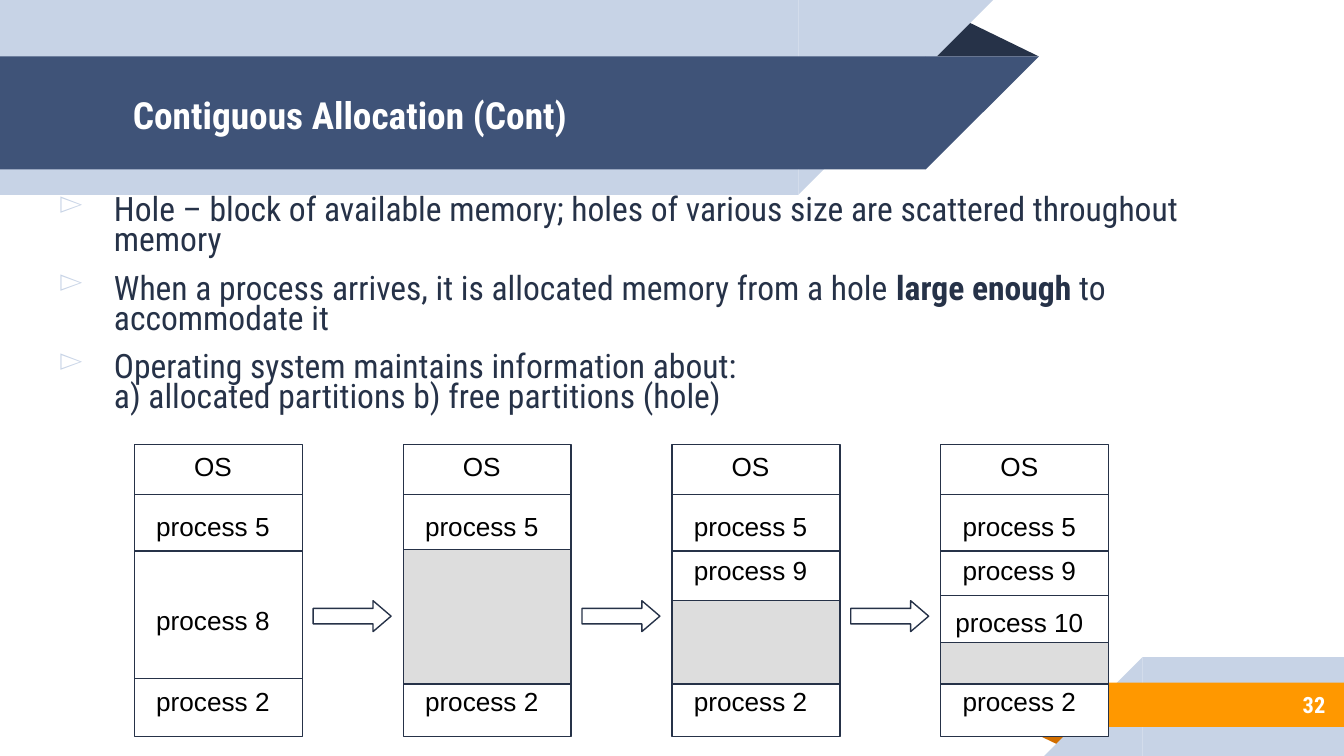
from lxml import etree
from pptx import Presentation
from pptx.dml.color import RGBColor
from pptx.enum.shapes import MSO_CONNECTOR, MSO_SHAPE
from pptx.enum.text import MSO_ANCHOR, PP_ALIGN
from pptx.oxml.ns import qn
from pptx.util import Inches, Pt

RECTANGLE = MSO_SHAPE.RECTANGLE
TRIANGLE = MSO_SHAPE.ISOSCELES_TRIANGLE
RIGHT_TRIANGLE = MSO_SHAPE.RIGHT_TRIANGLE
ARROW = MSO_SHAPE.RIGHT_ARROW
STRAIGHT = MSO_CONNECTOR.STRAIGHT
TOP, MIDDLE = MSO_ANCHOR.TOP, MSO_ANCHOR.MIDDLE
LEFT, CENTER, RIGHT = PP_ALIGN.LEFT, PP_ALIGN.CENTER, PP_ALIGN.RIGHT

# The slide is a grid of 100 columns by 56.25 rows with square cells
COLUMNS, ROWS = 100, 56.25
CELL = 10 / COLUMNS

NAVY, BLUE, PALE = "263248", "3F5378", "C7D3E6"
ORANGE, BROWN = "FF9800", "D26F00"
WHITE, BLACK, GREY = "FFFFFF", "000000", "DDDDDD"
HEADING_FONT, DIAGRAM_FONT = "Roboto Condensed", "Arial"

# Memory maps: first column, pitch, width, top, height, shared dividers
MAP_LEFT, MAP_PITCH, MAP_WIDTH = 10, 20, 12.5
MAP_TOP, MAP_HEIGHT = 33.1, 21.7
DIVIDERS = (36.8, 41, 50.5)
LABEL_WIDTH, LABEL_HEIGHT = 11.7, 3.1
COMMON_LABELS = {"OS": 33.1, "process 5": 37.6, "process 2": 50.6}
HOLE_BOTTOM = 50.9
# Each state: its own labels by row, top of its hole, extra dividers
STATES = (
    ({"process 8": 44.6}, None, ()),
    ({}, 40.9, ()),
    ({"process 9": 40.9}, 44.7, ()),
    ({"process 9": 40.9, "process 10": 44.7}, 47.8, (44.3,)),
)

# Runs are (text, bold)
BULLETS = (
    [("Hole – block of available memory; holes of various size are "
      "scattered throughout memory", False)],
    [("When a process arrives, it is allocated memory from a hole ", False),
     ("large enough ", True), ("to accommodate it", False)],
    [("Operating system maintains information about:\n"
      "a) allocated partitions b) free partitions (hole)", False)],
)


def grid(*cells):
    return [Inches(cell * CELL) for cell in cells]


def color(hex_text):
    return RGBColor.from_string(hex_text)


def add_shape(slide, kind, box, fill, outline=None, adjustments=(),
              rotation=0, flip=None):
    shape = slide.shapes.add_shape(kind, *grid(*box))
    shape.shadow.inherit = False
    shape.fill.solid()
    shape.fill.fore_color.rgb = color(fill)
    if outline:
        shape.line.color.rgb = color(outline)
        shape.line.width = Pt(0.75)
    else:
        shape.line.fill.background()
    for index, value in enumerate(adjustments):
        shape.adjustments[index] = value
    shape.rotation = rotation
    if flip:
        shape._element.spPr.find(qn("a:xfrm")).set(flip, "1")
    return shape


def add_divider(slide, left, row):
    line = slide.shapes.add_connector(
        STRAIGHT, *grid(left, row, left + MAP_WIDTH, row))
    line.line.color.rgb = color(NAVY)
    line.line.width = Pt(0.75)
    etree.SubElement(line._element.spPr, qn("a:effectLst"))


def add_run(paragraph, text, size, font, fill, bold):
    for index, part in enumerate(text.split("\n")):
        if index:
            paragraph.add_line_break()
        run = paragraph.add_run()
        run.text = part
        run.font.size = Pt(size)
        run.font.name = font
        run.font.bold = bold
        run.font.color.rgb = color(fill)


def add_text(slide, box, paragraphs, size=14, font=HEADING_FONT, fill=WHITE,
             align=LEFT, anchor=MIDDLE, margin=(1, 0.5), wrap=True):
    """Add a text box; paragraphs are lists of (text, bold) runs."""
    frame = slide.shapes.add_textbox(*grid(*box)).text_frame
    frame.word_wrap = wrap
    frame.vertical_anchor = anchor
    frame.margin_left, frame.margin_top = grid(*margin)
    frame.margin_right, frame.margin_bottom = grid(*margin)
    for index, runs in enumerate(paragraphs):
        paragraph = frame.add_paragraph() if index else frame.paragraphs[0]
        paragraph.alignment = align
        for text, bold in runs:
            add_run(paragraph, text, size, font, fill, bold)
    return frame


def add_bullet(paragraph, symbol, fill, indent):
    properties = paragraph._p.get_or_add_pPr()
    hanging = grid(indent)[0]
    properties.set("marL", str(hanging))
    properties.set("indent", str(-hanging))
    bullet_color = etree.SubElement(properties, qn("a:buClr"))
    etree.SubElement(bullet_color, qn("a:srgbClr"), val=fill)
    etree.SubElement(properties, qn("a:buChar"), char=symbol)


def add_header_band(slide, top, width, height, fill):
    """Add a band whose right end slopes by its own height."""
    add_shape(slide, RECTANGLE, (0, top, width, height), fill)
    add_shape(slide, RIGHT_TRIANGLE, (width, top, height, height), fill,
              flip="flipV")


def add_decoration(slide):
    # Footer ribbon
    add_shape(slide, TRIANGLE, (76, 54.1, 4.3, 1.4), BROWN,
              adjustments=(0.324,), rotation=180)
    add_shape(slide, RECTANGLE, (85, 48.9, 15, 7.35), PALE)
    add_shape(slide, RIGHT_TRIANGLE, (77.7, 48.9, 7.3, 7.35), PALE,
              flip="flipH")
    add_shape(slide, RECTANGLE, (79.3, 50.8, 20.7, 3.3), ORANGE)
    # Header ribbon
    add_shape(slide, TRIANGLE, (68.8, 1.4, 8.5, 2.8), NAVY,
              adjustments=(0.324,))
    add_header_band(slide, 0, 59.4, 14.5, PALE)
    add_header_band(slide, 4.2, 68.9, 8.4, BLUE)


def add_bullets(slide):
    frame = add_text(slide, (3.3, 14.5, 88.3, 16.4), BULLETS, size=18,
                     fill=NAVY, anchor=TOP, margin=(1, 0.3))
    for index, paragraph in enumerate(frame.paragraphs):
        paragraph.line_spacing = Pt(16)
        paragraph.space_before = Pt(10 if index else 0)
        add_bullet(paragraph, "▻", PALE, 4.2)


def add_memory_map(slide, left, labels, hole_top, extra_dividers):
    add_shape(slide, RECTANGLE, (left, MAP_TOP, MAP_WIDTH, MAP_HEIGHT),
              WHITE, NAVY)
    for row in DIVIDERS + extra_dividers:
        add_divider(slide, left, row)
    if hole_top:
        add_shape(slide, RECTANGLE,
                  (left, hole_top, MAP_WIDTH, HOLE_BOTTOM - hole_top),
                  GREY, NAVY)
    for text, row in {**COMMON_LABELS, **labels}.items():
        add_text(slide, (left, row, LABEL_WIDTH, LABEL_HEIGHT),
                 [[(text, False)]], font=DIAGRAM_FONT, fill=BLACK,
                 align=CENTER)


def main():
    presentation = Presentation()
    presentation.slide_width, presentation.slide_height = grid(COLUMNS, ROWS)
    slide = presentation.slides.add_slide(presentation.slide_layouts[6])

    add_decoration(slide)

    # Title, bullets and slide number
    add_text(slide, (8.9, 4.3, 60.1, 8.4),
             [[("Contiguous Allocation (Cont)", True)]], size=20,
             margin=(1, 1))
    add_bullets(slide)
    add_text(slide, (83.3, 50.7, 16.3, 3.5), [[("32", True)]], size=12,
             align=RIGHT, margin=(1, 1))

    # Memory states, with an arrow between neighbours
    for index, state in enumerate(STATES):
        left = MAP_LEFT + index * MAP_PITCH
        add_memory_map(slide, left, *state)
        if index:
            add_shape(slide, ARROW, (left - 6.7, 44.7, 5.8, 2.3), WHITE,
                      NAVY, adjustments=(0.5, 0.583))

    presentation.save("out.pptx")


if __name__ == "__main__":
    main()
